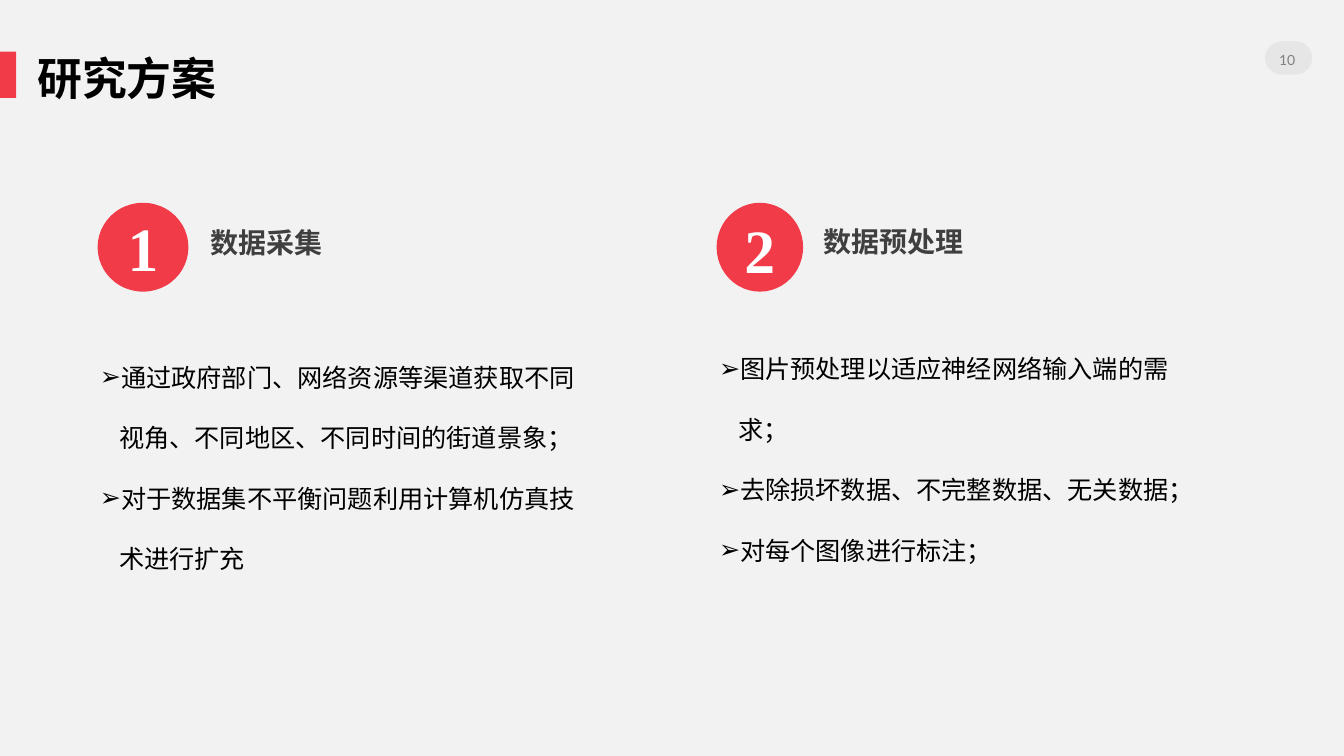
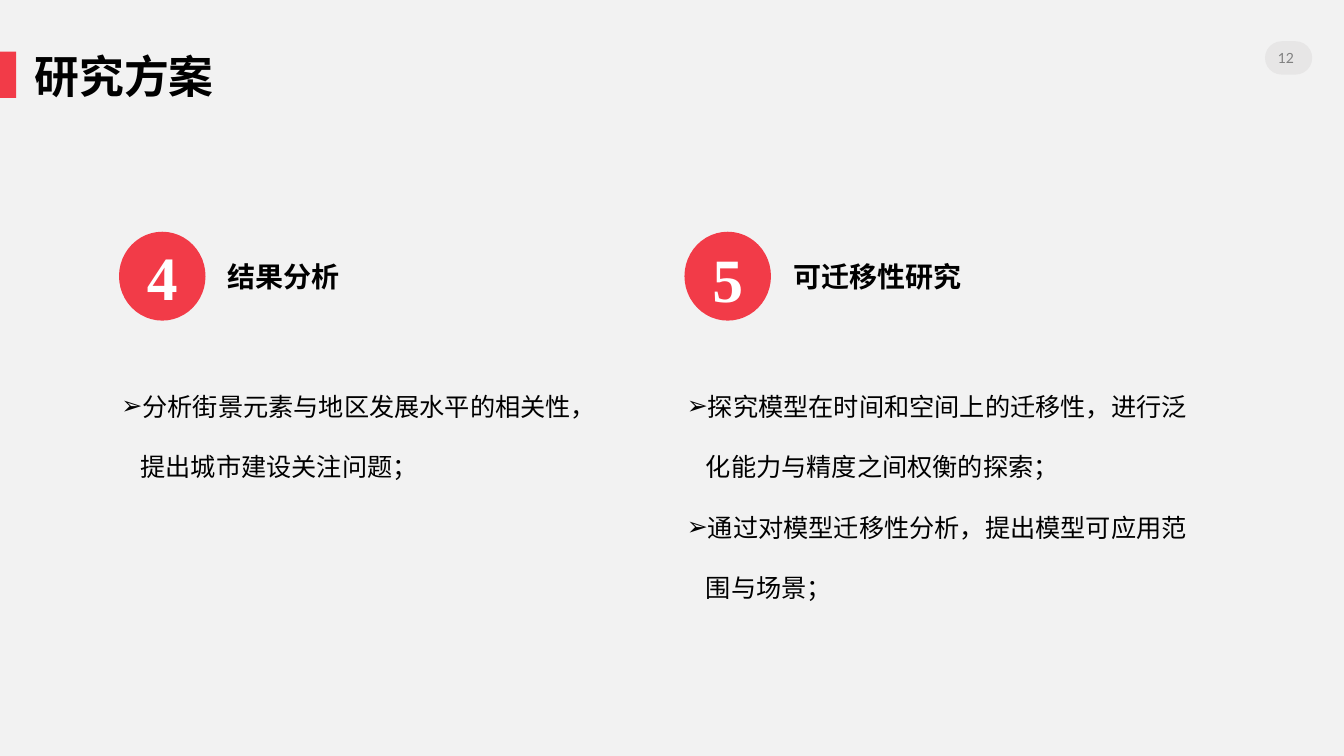
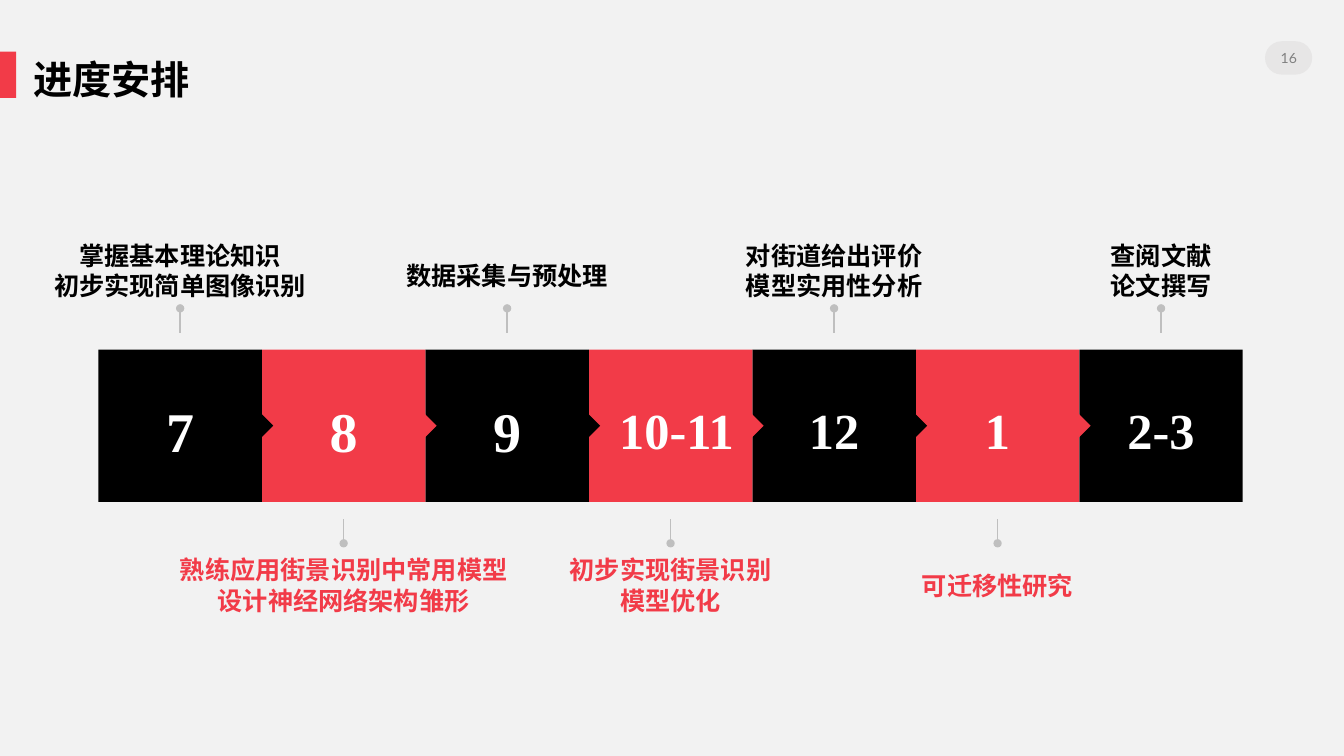
from dataclasses import dataclass

from lxml import etree
from pptx import Presentation
from pptx.dml.color import RGBColor
from pptx.enum.shapes import MSO_CONNECTOR, MSO_SHAPE
from pptx.enum.text import MSO_ANCHOR, MSO_AUTO_SIZE, PP_ALIGN
from pptx.oxml.ns import qn
from pptx.util import Cm, Pt

RECTANGLE = MSO_SHAPE.RECTANGLE
ROUNDED = MSO_SHAPE.ROUNDED_RECTANGLE
OVAL = MSO_SHAPE.OVAL
STRAIGHT = MSO_CONNECTOR.STRAIGHT
TOP, MIDDLE = MSO_ANCHOR.TOP, MSO_ANCHOR.MIDDLE
LEFT, CENTER = PP_ALIGN.LEFT, PP_ALIGN.CENTER
FIXED = MSO_AUTO_SIZE.NONE
COMPARISON, TITLE_ONLY = 4, 5


@dataclass(frozen=True)
class Theme:
    """Colours, fonts and type sizes of the deck."""

    paper: str = "F2F2F2"
    accent: str = "F23B48"
    ink: str = "000000"
    heading: str = "3F3F3F"
    pill: str = "E7E6E6"
    muted: str = "808080"
    rule: str = "BFBFBF"
    white: str = "FFFFFF"
    sans: str = "Noto Sans CJK SC"
    serif: str = "Times New Roman"
    small: str = "Lato"
    title_size: int = 32
    short_title_size: int = 28
    heading_size: int = 20
    body_size: int = 18
    badge_size: int = 44
    month_size: int = 40
    wide_month_size: int = 36
    page_size: int = 10


THEME = Theme()


def add_bullet(para):
    """Give a paragraph a hanging arrow bullet."""
    properties = para._p.get_or_add_pPr()
    properties.set("marL", str(Cm(0.48)))
    properties.set("indent", str(-Cm(0.48)))
    etree.SubElement(properties, qn("a:buChar"), char="➢")


def write(box, lines, size, color=THEME.ink, font=THEME.sans, bold=True,
          align=LEFT, anchor=TOP, inset=0, spacing=1.0, wrap=True, bullet=False):
    """Fill a box with one formatted paragraph per line."""
    frame = box.text_frame
    frame.auto_size = FIXED
    frame.word_wrap = wrap
    frame.vertical_anchor = anchor
    frame.margin_left = frame.margin_right = Cm(inset)
    frame.margin_top = frame.margin_bottom = Cm(inset)
    for index, line in enumerate(lines):
        para = frame.add_paragraph() if index else frame.paragraphs[0]
        if bullet:
            add_bullet(para)
        para.alignment = align
        para.line_spacing = spacing
        para.space_before = Pt(0)
        span = para.add_run()
        span.text = line
        span.font.size = Pt(size)
        span.font.bold = bold
        span.font.name = font
        span.font.color.rgb = RGBColor.from_string(color)
        etree.SubElement(span._r.get_or_add_rPr(), qn("a:ea"), typeface=font)


class Deck:
    """Build styled pages one after another."""

    def __init__(self, theme):
        """Start an empty wide deck."""
        self.theme = theme
        self.deck = Presentation()
        self.deck.slide_width = Cm(33.87)
        self.deck.slide_height = Cm(19.05)
        fill = self.deck.slide_master.background.fill
        fill.solid()
        fill.fore_color.rgb = RGBColor.from_string(theme.paper)
        self.page = None

    def start_page(self, layout, title, at, number, number_at, size):
        """Add a page with its title, accent tab and page number."""
        theme = self.theme
        self.page = self.deck.slides.add_slide(self.deck.slide_layouts[layout])
        self.shape(ROUNDED, 0, 1.3, 0.41, 1.17, theme.accent, rounding=0)
        self.shape(ROUNDED, 31.88, 1.04, 1.19, 0.84, theme.pill, rounding=0.5)
        self.label(number, *number_at, 0.56, 0.43, size=theme.page_size,
                   color=theme.muted, font=theme.small, bold=False,
                   align=CENTER, anchor=MIDDLE)
        self.placeholder(0, [title], *at, 10.59, 1.47, size=size,
                         inset=0.13, spacing=0.9)

    def shape(self, kind, left, top, width, height, color, rounding=None, turn=0):
        """Draw a plain filled shape."""
        shape = self.page.shapes.add_shape(
            kind, Cm(left), Cm(top), Cm(width), Cm(height))
        shape.shadow.inherit = False
        shape.fill.solid()
        shape.fill.fore_color.rgb = RGBColor.from_string(color)
        shape.line.fill.background()
        shape.rotation = turn
        if rounding is not None:
            shape.adjustments[0] = rounding

    def label(self, text, left, top, width, height, **style):
        """Add a text box, one paragraph per line of text."""
        box = self.page.shapes.add_textbox(
            Cm(left), Cm(top), Cm(width), Cm(height))
        write(box, text.split("\n"), **style)

    def placeholder(self, key, lines, left, top, width, height, **style):
        """Move and fill a placeholder of the layout."""
        box = self.page.placeholders[key]
        box.left, box.top = Cm(left), Cm(top)
        box.width, box.height = Cm(width), Cm(height)
        write(box, lines, **style)

    def number(self, text, middle_x, middle_y, width, height, size):
        """Centre a white numeral on a point."""
        self.label(text, middle_x - width / 2, middle_y - height / 2, width, height,
                   size=size, color=self.theme.white, font=self.theme.serif,
                   align=CENTER, anchor=MIDDLE, inset=0.13)

    def column(self, keys, number, heading, points, left, top, height, width=12.5,
               badge=2.18, badge_shift=0, heading_gap=2.74, heading_drop=0.79,
               body_drop=3.25, color=THEME.ink):
        """Add a numbered badge with its heading and bullet list."""
        theme = self.theme
        self.shape(OVAL, left, top, badge, 2.24, theme.accent)
        self.number(number, left + badge / 2, top + 1.12 + badge_shift,
                    1.4, 2.13, theme.badge_size)
        self.placeholder(keys[0], [heading], left + heading_gap, top + heading_drop,
                         9.83, 0.76, size=theme.heading_size, color=color,
                         spacing=0.9)
        self.placeholder(keys[1], points, left + 0.06, top + body_drop, width, height,
                         size=theme.body_size, bold=False, spacing=2.0, bullet=True)

    def pin(self, x, start, end):
        """Draw a vertical line with a dot at its end."""
        line = self.page.shapes.add_connector(
            STRAIGHT, Cm(x), Cm(start), Cm(x), Cm(end))
        line.line.width = Pt(1)
        line.line.color.rgb = RGBColor.from_string(self.theme.rule)
        etree.SubElement(line.line._get_or_add_ln(), qn("a:tailEnd"), type="oval")
        etree.SubElement(line._element.spPr, qn("a:effectLst"))

    def timeline(self, steps):
        """Draw a band of month blocks with notes above and below in turn."""
        theme = self.theme
        left, top, width, height, arrow = 2.48, 8.81, 4.12, 3.84, 0.66
        bottom, middle = top + height, top + height / 2
        for index in reversed(range(len(steps))):
            color = theme.accent if index % 2 else theme.ink
            x = left + index * width
            self.shape(RECTANGLE, x, top, width, height, color)
            if index < len(steps) - 1:
                self.shape(RECTANGLE, x + width - 0.51, middle - arrow / 2,
                           arrow, arrow, color, turn=45)
        for index, (month, size, shift, note, note_width, spacing) in enumerate(steps):
            below = index % 2
            x = left + (index + 0.5) * width
            self.number(month, x + shift, middle + 0.1, 3.86, 1.96, size)
            if below:
                self.pin(x, bottom + 0.43, bottom + 1.04)
            else:
                self.pin(x, top - 0.43, top - 1.04)
            note_height = 0.77 * spacing * len(note.split("\n"))
            note_middle = bottom + 2.1 if below else top - 1.99
            self.label(note, x - note_width / 2, note_middle - note_height / 2,
                       note_width, note_height, size=theme.body_size,
                       color=theme.accent if below else theme.ink,
                       align=CENTER, spacing=spacing, wrap=False)


def main():
    """Build and save the three pages."""
    deck = Deck(THEME)
    first, second = (1, 2), (3, 4)

    deck.start_page(COMPARISON, "研究方案", (0.81, 1.3), "10", (32.16, 1.3),
                    THEME.title_size)
    deck.column(first, "1", "数据采集",
                ["通过政府部门、网络资源等渠道获取不同视角、不同地区、不同时间的街道景象；",
                 "对于数据集不平衡问题利用计算机仿真技术进行扩充"],
                2.46, 5.11, 6.15, badge=2.29, heading_gap=2.85,
                heading_drop=0.68, color=THEME.heading)
    deck.column(second, "2", "数据预处理",
                ["图片预处理以适应神经网络输入端的需求；",
                 "去除损坏数据、不完整数据、无关数据；",
                 "对每个图像进行标注；"],
                18.06, 5.11, 7.16, width=11.94, badge_shift=0.05, heading_gap=2.69,
                heading_drop=0.63, body_drop=3.04, color=THEME.heading)

    deck.start_page(COMPARISON, "研究方案", (0.74, 1.24), "12", (32.13, 1.24),
                    THEME.title_size)
    deck.column(first, "4", "结果分析",
                ["分析街景元素与地区发展水平的相关性，提出城市建设关注问题；"],
                3, 5.84, 3.07)
    deck.column(second, "5", "可迁移性研究",
                ["探究模型在时间和空间上的迁移性，进行泛化能力与精度之间权衡的探索；",
                 "通过对模型迁移性分析，提出模型可应用范围与场景；"],
                17.25, 5.84, 6.15, width=13.16, badge_shift=0.05)

    deck.start_page(TITLE_ONLY, "进度安排", (0.71, 1.4), "16", (32.2, 1.24),
                    THEME.short_title_size)
    large, small = THEME.month_size, THEME.wide_month_size
    deck.timeline([
        ("7", large, 0, "掌握基本理论知识\n初步实现简单图像识别", 6.38, 1.0),
        ("8", large, 0, "熟练应用街景识别中常用模型\n设计神经网络架构雏形", 8.31, 1.0),
        ("9", large, 0, "数据采集与预处理", 6.07, 1.3),
        ("10-11", small, 0.15, "初步实现街景识别\n模型优化", 5.11, 1.0),
        ("12", small, 0, "对街道给出评价\n模型实用性分析", 4.47, 1.0),
        ("1", small, 0, "可迁移性研究", 3.84, 1.0),
        ("2-3", small, 0, "查阅文献\n论文撰写", 2.57, 1.0),
    ])
    deck.deck.save("out.pptx")


if __name__ == "__main__":
    main()
